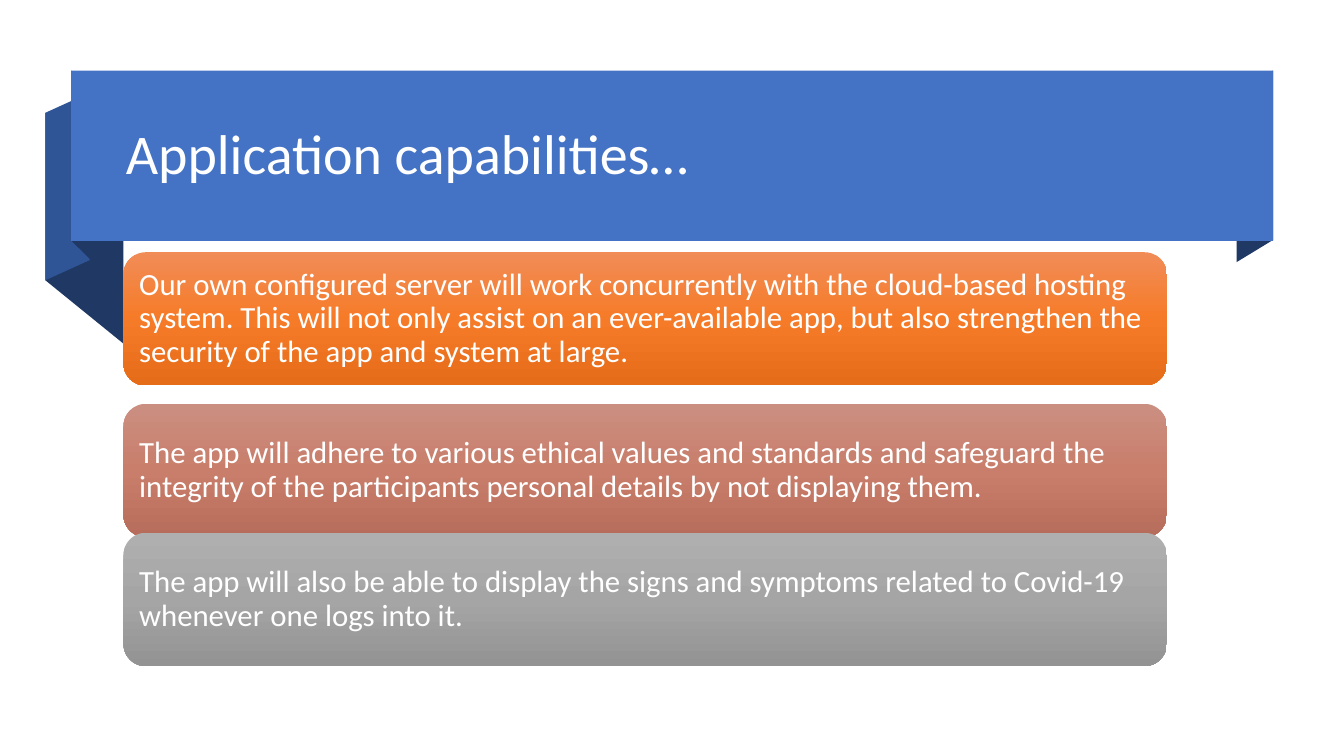
from copy import deepcopy

from pptx import Presentation
from pptx.dml.color import RGBColor
from pptx.enum.shapes import MSO_SHAPE as Preset
from pptx.enum.text import MSO_ANCHOR as Anchor, PP_ALIGN as Align
from pptx.util import Pt

WHITE = RGBColor(0xFF, 0xFF, 0xFF)
BANNER_BLUE = RGBColor(0x44, 0x72, 0xC4)
FOLD_BLUE = RGBColor(0x2F, 0x55, 0x97)
SHADE_BLUE = RGBColor(0x20, 0x38, 0x64)
ORANGE = [RGBColor(0xF1, 0x8C, 0x57), RGBColor(0xF6, 0x7B, 0x28), RGBColor(0xE5, 0x6C, 0x19)]
CLAY = [RGBColor(0xCB, 0x8F, 0x81), RGBColor(0xC9, 0x7E, 0x6B), RGBColor(0xB7, 0x6D, 0x5B)]
GREY = [RGBColor(0xAF, 0xAF, 0xAF), RGBColor(0xA5, 0xA5, 0xA5), RGBColor(0x93, 0x93, 0x93)]

RIBBON_FOLDS = [
    (SHADE_BLUE, [(909.4, 171.4), (883.4, 187.2), (883.4, 65.5), (909.4, 50.4)]),
    (SHADE_BLUE, [(88.2, 245.5), (32.4, 200.2), (32.4, 80.6), (88.2, 126)]),
    (FOLD_BLUE, [(64.1, 185.8), (32.4, 200.2), (32.4, 80.6), (64.1, 66.2)]),
    (SHADE_BLUE, [(64.1, 185), (51.1, 172.1), (51.1, 50.4), (64.1, 64.1)]),
]

CAPABILITIES = [
    (180.2, ORANGE, "Our own configured server will work concurrently with the cloud-based "
                    "hosting system. This will not only assist on an ever-available app, but "
                    "also strengthen the security of the app and system at large."),
    (288.5, CLAY, "The app will adhere to various ethical values and standards and safeguard "
                  "the integrity of the participants personal details by not displaying them."),
    (380.6, GREY, "The app will also be able to display the signs and symptoms related to "
                  "Covid-19 whenever one logs into it."),
]


class SlidePainter:
    font = "Calibri"
    text_color = WHITE
    line_spacing = 0.9

    def __init__(self, page):
        self.shapes = page.shapes

    def finish(self, shape, color):
        shape.shadow.inherit = False
        shape.line.fill.background()
        shape.fill.solid()
        shape.fill.fore_color.rgb = color

    def fold(self, color, corners):
        points = [(Pt(x), Pt(y)) for x, y in corners]
        builder = self.shapes.build_freeform(*points[0])
        builder.add_line_segments(points[1:], close=True)
        self.finish(builder.convert_to_shape(), color)

    def block(self, preset, left, top, width, height, color):
        shape = self.shapes.add_shape(preset, Pt(left), Pt(top), Pt(width), Pt(height))
        self.finish(shape, color)
        return shape

    def add_text(self, shape, text, size):
        frame = shape.text_frame
        frame.word_wrap = True
        frame.vertical_anchor = Anchor.MIDDLE
        para = frame.paragraphs[0]
        para.alignment = Align.LEFT
        para.line_spacing = self.line_spacing
        span = para.add_run()
        span.text = text
        span.font.name = self.font
        span.font.size = Pt(size)
        span.font.color.rgb = self.text_color
        return frame

    def title(self, left, top, width, height, text):
        box = self.shapes.add_textbox(Pt(left), Pt(top), Pt(width), Pt(height))
        self.add_text(box, text, 40)

    def shade(self, shape, colors):
        fill = shape.fill
        fill.gradient()
        fill.gradient_angle = 270
        stop_list = shape.element.spPr.gradFill.gsLst
        stop_list.append(deepcopy(stop_list[-1]))
        for stop, position, color in zip(fill.gradient_stops, (0, 0.5, 1), colors):
            stop.position = position
            stop.color.rgb = color

    def card(self, left, top, width, height, colors, text):
        shape = self.block(Preset.ROUNDED_RECTANGLE, left, top, width, height, colors[1])
        self.shade(shape, colors)
        frame = self.add_text(shape, text, 22)
        frame.margin_left = frame.margin_right = Pt(6.6)
        frame.margin_top = frame.margin_bottom = Pt(6.6)


def main():
    deck = Presentation()
    deck.slide_width, deck.slide_height = Pt(960), Pt(540)
    page = deck.slides.add_slide(deck.slide_layouts[6])
    painter = SlidePainter(page)

    for color, corners in RIBBON_FOLDS:
        painter.fold(color, corners)
    painter.block(Preset.RECTANGLE, 50.8, 50.4, 858.6, 121.7, BANNER_BLUE)
    painter.title(82.8, 59.8, 811.4, 104.4, "Application capabilities…")

    for top, colors, text in CAPABILITIES:
        painter.card(88.2, top, 745.2, 95.2, colors, text)

    deck.save("out.pptx")


if __name__ == "__main__":
    main()
